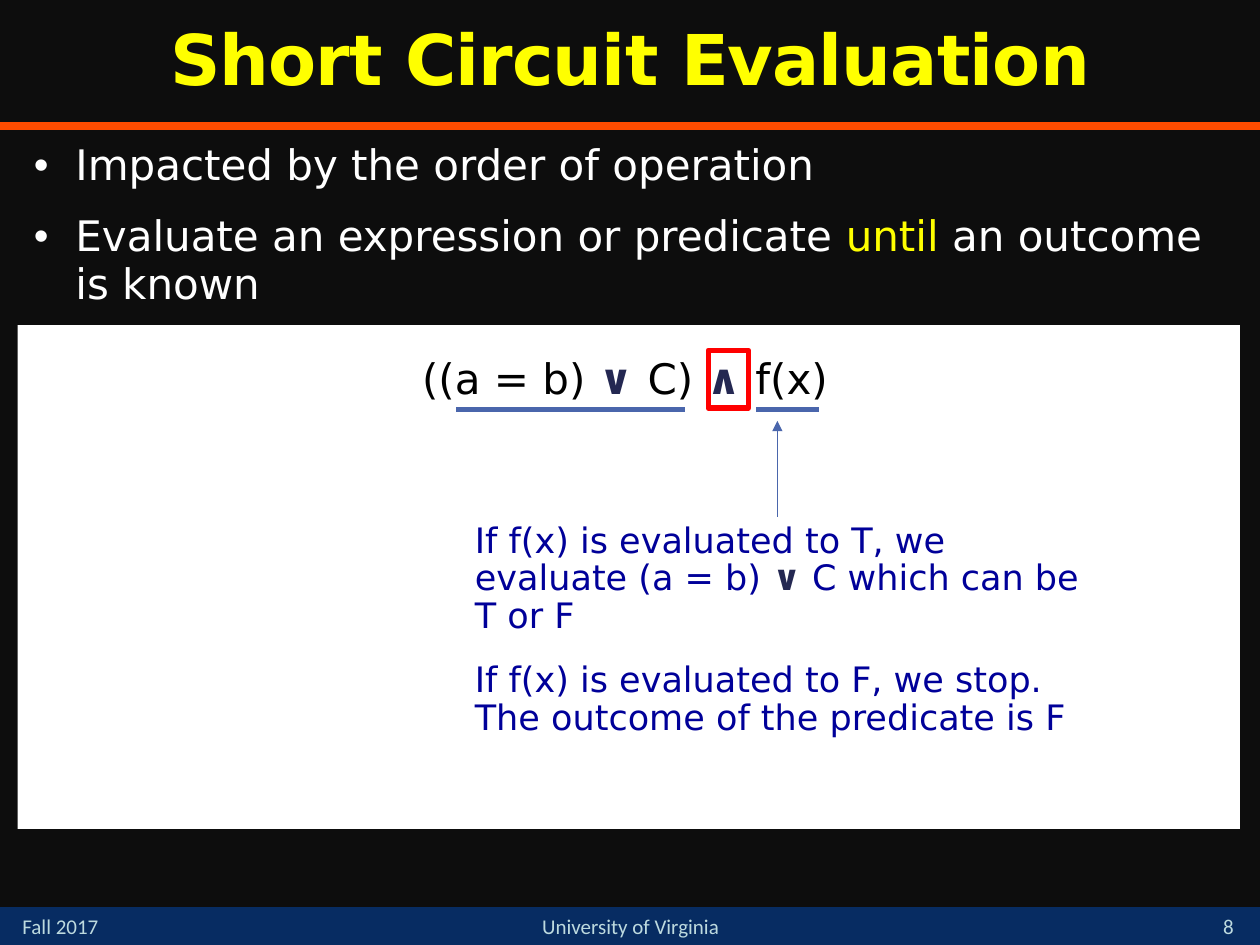
from dataclasses import dataclass
from lxml import etree
from pptx import Presentation
from pptx import util as u
from pptx.dml.color import RGBColor
from pptx.enum import shapes, text
from pptx.oxml.ns import qn


@dataclass(frozen=True)
class Theme:
    back: str = "0D0D0D"
    bar: str = "072C62"
    rule: str = "FF4C00"
    footer: str = "BDDADF"
    panel: str = "FFFFFF"
    light: str = "FFFFFF"
    accent: str = "FFFF00"
    ink: str = "000000"
    operator: str = "242852"
    note: str = "000099"
    marker: str = "4A66AC"
    focus: str = "FF0000"
    body_font: str = "DejaVu Sans"
    footer_font: str = "Calibri"
    title_size: int = 40
    body_size: int = 24
    note_size: int = 20
    footer_size: int = 12


THEME = Theme()
SCALE = 9144
WIDTH, HEIGHT = 1000, 750
LEFT, CENTER = text.PP_ALIGN.LEFT, text.PP_ALIGN.CENTER
TOP, MIDDLE, BOTTOM = text.MSO_ANCHOR.TOP, text.MSO_ANCHOR.MIDDLE, text.MSO_ANCHOR.BOTTOM

TITLE = [[("Short Circuit Evaluation", THEME.accent, True)]]
POINTS = [
    [("Impacted by the order of operation", THEME.light, False)],
    [
        ("Evaluate an expression or predicate ", THEME.light, False),
        ("until", THEME.accent, False),
        (" an outcome is known", THEME.light, False),
    ],
]
EXPRESSION = [[
    ("((a = b) ", THEME.ink, False),
    ("∨ ", THEME.operator, True),
    ("C) ", THEME.ink, False),
    ("∧ ", THEME.operator, True),
    ("f(x)", THEME.ink, False),
]]
OUTCOMES = [
    [
        ("If f(x) is evaluated to T, we evaluate (a = b) ", THEME.note, False),
        ("∨", THEME.operator, True),
        (" C which can be T or F", THEME.note, False),
    ],
    [("If f(x) is evaluated to F, we stop. The outcome of the predicate is F", THEME.note, False)],
]
FOOTERS = [
    ("Fall 2017", (8, 720, 117, 30), LEFT, TOP),
    ("8", (950, 717, 50, 33), CENTER, BOTTOM),
    ("University of Virginia", (367, 720, 267, 30), CENTER, TOP),
]
UNDERLINES = [(600, 650), (362, 544)]
UNDERLINE_Y = 325


def px(*values):
    return [u.Emu(value * SCALE) for value in values]


def color(code):
    return RGBColor.from_string(code)


def add_box(page, area, fill=None, line=None, weight=0):
    box = page.shapes.add_shape(shapes.MSO_SHAPE.RECTANGLE, *px(*area))
    box.shadow.inherit = False
    if fill:
        box.fill.solid()
        box.fill.fore_color.rgb = color(fill)
    else:
        box.fill.background()
    if line:
        box.line.color.rgb = color(line)
        box.line.width = u.Pt(weight)
    else:
        box.line.fill.background()


def add_line(page, start, end, code, weight, arrow=False):
    line = page.shapes.add_connector(shapes.MSO_CONNECTOR.STRAIGHT, *px(*start, *end))
    line.line.color.rgb = color(code)
    line.line.width = u.Pt(weight)
    etree.SubElement(line._element.spPr, qn("a:effectLst"))
    if arrow:
        etree.SubElement(line.line._get_or_add_ln(), qn("a:tailEnd"), type="triangle")


def add_bullet(para, indent):
    props = para._p.get_or_add_pPr()
    props.set("marL", str(indent * SCALE))
    props.set("indent", str(-indent * SCALE))
    tint = etree.SubElement(props, qn("a:buClr"))
    etree.SubElement(tint, qn("a:srgbClr"), val=THEME.light)
    etree.SubElement(props, qn("a:buFont"), typeface="Arial")
    etree.SubElement(props, qn("a:buChar"), char="•")


def add_text(page, area, paragraphs, size, font=THEME.body_font, align=LEFT, anchor=TOP,
             spacing=1.0, before=0, after=0, bullet=0, tracking=0, grow=False):
    box = page.shapes.add_textbox(*px(*area))
    frame = box.text_frame
    frame.word_wrap = True
    frame.vertical_anchor = anchor
    frame.auto_size = text.MSO_AUTO_SIZE.SHAPE_TO_FIT_TEXT if grow else text.MSO_AUTO_SIZE.NONE
    for index, runs in enumerate(paragraphs):
        para = frame.add_paragraph() if index else frame.paragraphs[0]
        para.alignment = align
        para.line_spacing = spacing
        para.space_before = u.Pt(before)
        para.space_after = u.Pt(after)
        if bullet:
            add_bullet(para, bullet)
        for words, code, bold in runs:
            span = para.add_run()
            span.text = words
            span.font.name = font
            span.font.size = u.Pt(size)
            span.font.bold = bold
            span.font.color.rgb = color(code)
            if tracking:
                span.font._element.set("spc", str(tracking))


def main():
    deck = Presentation()
    deck.slide_width, deck.slide_height = px(WIDTH, HEIGHT)
    page = deck.slides.add_slide(deck.slide_layouts[6])
    page.background.fill.solid()
    page.background.fill.fore_color.rgb = color(THEME.back)

    add_box(page, (0, 720, WIDTH, 30), fill=THEME.bar)
    add_line(page, (0, 100), (WIDTH, 100), THEME.rule, 4.5)
    for words, area, align, anchor in FOOTERS:
        add_text(page, area, [[(words, THEME.footer, False)]], THEME.footer_size,
                 font=THEME.footer_font, align=align, anchor=anchor)

    add_box(page, (14, 258, 970, 400), fill=THEME.panel)
    add_text(page, (0, 0, WIDTH, 100), TITLE, THEME.title_size, align=CENTER,
             anchor=MIDDLE, spacing=0.9, tracking=-50)
    add_text(page, (17, 108, 975, 609), POINTS, THEME.body_size,
             spacing=0.95, before=10, after=3, bullet=33)

    add_text(page, (198, 275, 596, 50), EXPRESSION, THEME.body_size, align=CENTER, grow=True)
    for left, right in UNDERLINES:
        add_line(page, (left, UNDERLINE_Y), (right, UNDERLINE_Y), THEME.marker, 3)
    add_box(page, (562, 278, 32, 46), line=THEME.focus, weight=3)
    add_text(page, (367, 410, 509, 183), OUTCOMES, THEME.note_size,
             spacing=0.9, before=15, grow=True)
    add_line(page, (617, 410), (617, 334), THEME.marker, 0.75, arrow=True)

    deck.save("out.pptx")


if __name__ == "__main__":
    main()
